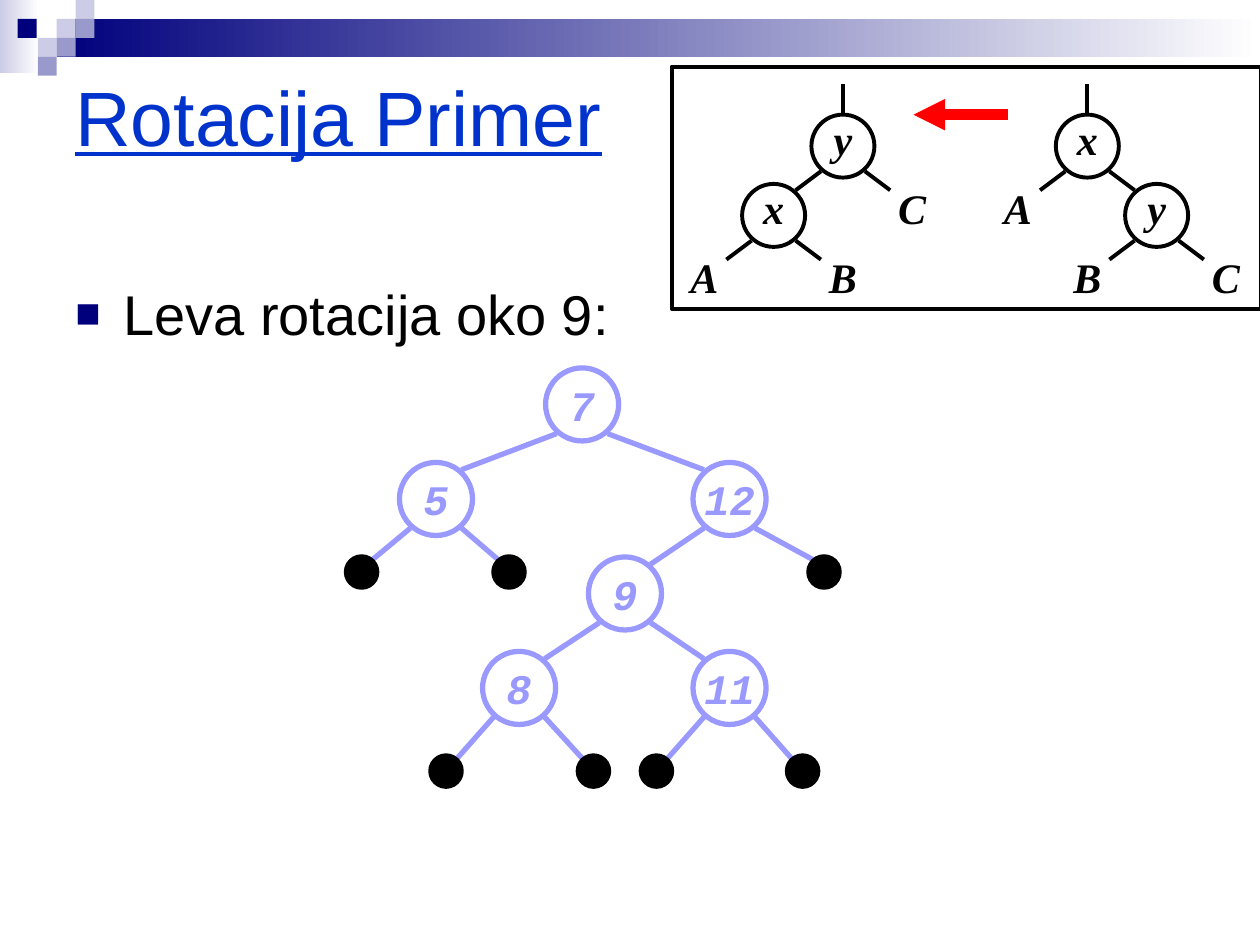
"""Builds the slide about a left rotation in a binary search tree."""
import lxml.etree
import pptx
import pptx.util
import pptx.dml.color
import pptx.enum.shapes
import pptx.enum.text
import pptx.oxml.ns

HUES = {"navy": "00007D", "pale": "CCCCE6", "mid": "9999CC", "white": "FFFFFF",
        "black": "000000", "lilac": "9999FF", "blue": "0033CC", "red": "FF0000"}
TITLE = "Rotacija Primer"
BODY = "Leva rotacija oko 9:"
BANDS = [(0, 0, 0.31, 0.58, "pale"), (0.45, 0.15, 9.55, 0.3, "navy")]
TILES = [(0.45, 0.15, "pale"), (0.6, 0, "pale"), (0.6, 0.15, "mid"),
         (0.3, 0.3, "pale"), (0.14, 0.15, "navy"), (0.45, 0.3, "mid"),
         (0.3, 0.45, "mid")]
TREE = [("7", 4.62, 3.21, None), ("5", 3.46, 3.96, 0), ("12", 5.79, 3.96, 0),
        ("9", 4.96, 4.71, 2), ("8", 4.12, 5.46, 3), ("11", 5.79, 5.46, 3)]
LEAVES = [(2.87, 4.54, 1), (4.04, 4.54, 1), (6.54, 4.54, 2), (3.54, 6.12, 4),
          (4.71, 6.12, 4), (5.21, 6.12, 5), (6.37, 6.12, 5)]
ROOTS = [(6.69, -1, "yxCAB"), (8.63, 1, "xyABC")]
TOP, STEP = 1.16, 0.55

INCH = pptx.util.Inches
KIND = pptx.enum.shapes.MSO_SHAPE
ALIGN = pptx.enum.text.PP_ALIGN
MIDDLE = pptx.enum.text.MSO_ANCHOR.MIDDLE

deck = pptx.Presentation()
deck.slide_width, deck.slide_height = INCH(10), INCH(7.5)
shapes = deck.slides.add_slide(deck.slide_layouts[6]).shapes


def hue(name):
    return pptx.dml.color.RGBColor.from_string(HUES[name])


def add(node, tag, **keys):
    return lxml.etree.SubElement(node, pptx.oxml.ns.qn(tag), **keys)


def style(para, face, size, color, bold=False):
    font = para.font
    font.name, font.size = face, pptx.util.Pt(size)
    font.bold = font.italic = bold
    font.color.rgb = hue(color)


def shape(kind, x, y, w, h, fill=None, line=None, width=0):
    item = shapes.add_shape(kind, INCH(x), INCH(y), INCH(w), INCH(h))
    item.shadow.inherit = False
    if fill:
        item.fill.solid()
        item.fill.fore_color.rgb = hue(fill)
    else:
        item.fill.background()
    if line:
        item.line.color.rgb = hue(line)
        item.line.width = pptx.util.Pt(width)
    else:
        item.line.fill.background()
    return item


def disc(x, y, r, fill, line=None, width=0):
    return shape(KIND.OVAL, x - r, y - r, 2 * r, 2 * r, fill, line, width)


def label(item, text, face, color, space=1.0):
    frame = item.text_frame
    frame.word_wrap = False
    frame.vertical_anchor = MIDDLE
    para = frame.paragraphs[0]
    para.text, para.alignment = text, ALIGN.CENTER
    para.line_spacing = space
    style(para, face, 24, color, True)


def line(x1, y1, x2, y2, color, width):
    item = shapes.add_connector(pptx.enum.shapes.MSO_CONNECTOR.STRAIGHT,
                                INCH(x1), INCH(y1), INCH(x2), INCH(y2))
    item.line.color.rgb = hue(color)
    item.line.width = pptx.util.Pt(width)
    add(item._element.spPr, "a:effectLst")
    return item


def edge(x1, y1, r1, x2, y2, r2, color, width):
    side = 0.7 if x2 > x1 else -0.7
    line(x1 + side * r1, y1 + 0.8 * r1, x2 - side * r2, y2 - 0.8 * r2, color, width)


def box(x, y, w, h, text):
    frame = shapes.add_textbox(INCH(x), INCH(y), INCH(w), INCH(h)).text_frame
    frame.word_wrap = True
    para = frame.paragraphs[0]
    para.text = text
    return frame, para


def banner():
    for x, y, w, h, color in BANDS:
        fill = shape(KIND.RECTANGLE, x, y, w, h, color).fill
        fill.gradient()
        fill.gradient_angle = 0
        for stop, place, name in zip(fill.gradient_stops, (0, 1), (color, "white")):
            stop.position = place
            stop.color.rgb = hue(name)
    for x, y, color in TILES:
        shape(KIND.RECTANGLE, x, y, 0.15, 0.15, color)


def words():
    frame, para = box(0.5, 0.5, 9, 0.83, TITLE)
    frame.vertical_anchor = MIDDLE
    style(para, "Arial", 44, "blue")
    para.font.underline = True
    frame, para = box(0.5, 2.17, 9, 4.25, BODY)
    props = para._p.get_or_add_pPr()
    props.set("marL", str(INCH(0.38)))
    props.set("indent", str(INCH(-0.38)))
    add(add(props, "a:buClr"), "a:srgbClr", val=HUES["navy"])
    add(props, "a:buSzPct", val="75000")
    add(props, "a:buFont", typeface="Arial")
    add(props, "a:buChar", char="■")
    style(para, "Arial", 32, "black")


def tree():
    big, small = 0.29, 0.12
    spots = [(x, y, up, big) for _, x, y, up in TREE]
    spots += [(x, y, up, small) for x, y, up in LEAVES]
    for x, y, up, r in spots:
        if up is not None:
            edge(*TREE[up][1:3], big, x, y, r, "lilac", 3)
    for x, y, _ in LEAVES:
        disc(x, y, small, "black", "black", 3)
    for text, x, y, _ in TREE:
        label(disc(x, y, big, "white", "lilac", 3), text, "Courier New", "lilac")


def sketch():
    r = 0.25
    for x, side, names in ROOTS:
        low = TOP + STEP
        left, right = (x - STEP, low), (x + STEP, low)
        inner, outer = (left, right) if side < 0 else (right, left)
        ends = [(inner[0] + way * STEP, low + STEP) for way in (-1, 1)]
        spots = [(x, TOP), inner, outer] + ends
        for index, (name, spot) in enumerate(zip(names, spots)):
            ring = "black" if index < 2 else None
            label(disc(*spot, r, "white", ring, 2.25), name,
                  "Times New Roman", "black", 0.6)
        for start, stops in [((x, TOP), (left, right)), (inner, ends)]:
            for stop in stops:
                edge(*start, r, *stop, r, "black", 2.25)
        line(x, TOP - r, x, 0.67, "black", 2.25)
    shape(KIND.RECTANGLE, 5.33, 0.53, 4.68, 1.92, None, "black", 2.25)
    arrow = line(8, 0.91, 7.25, 0.91, "red", 6)
    add(arrow._element.spPr.find(pptx.oxml.ns.qn("a:ln")), "a:tailEnd", type="triangle")


def main():
    banner()
    words()
    tree()
    sketch()
    deck.save("out.pptx")


if __name__ == "__main__":
    main()
